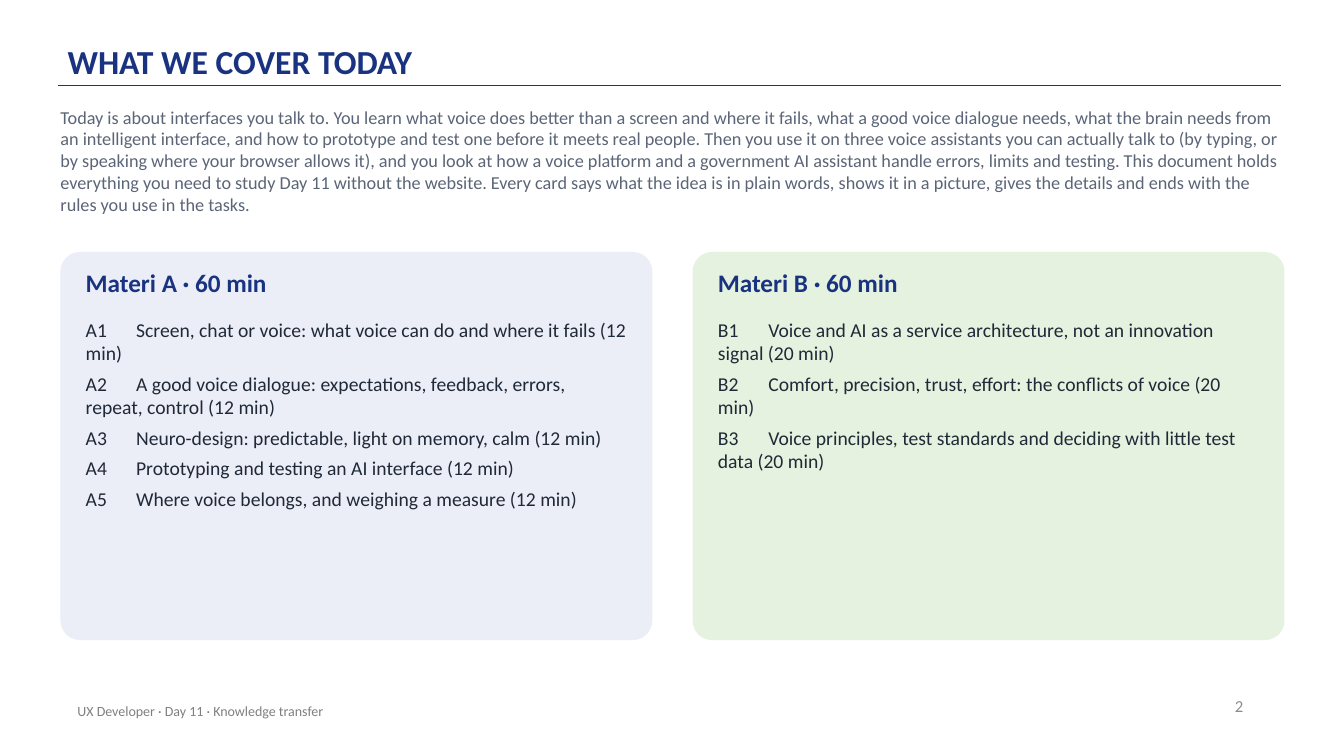
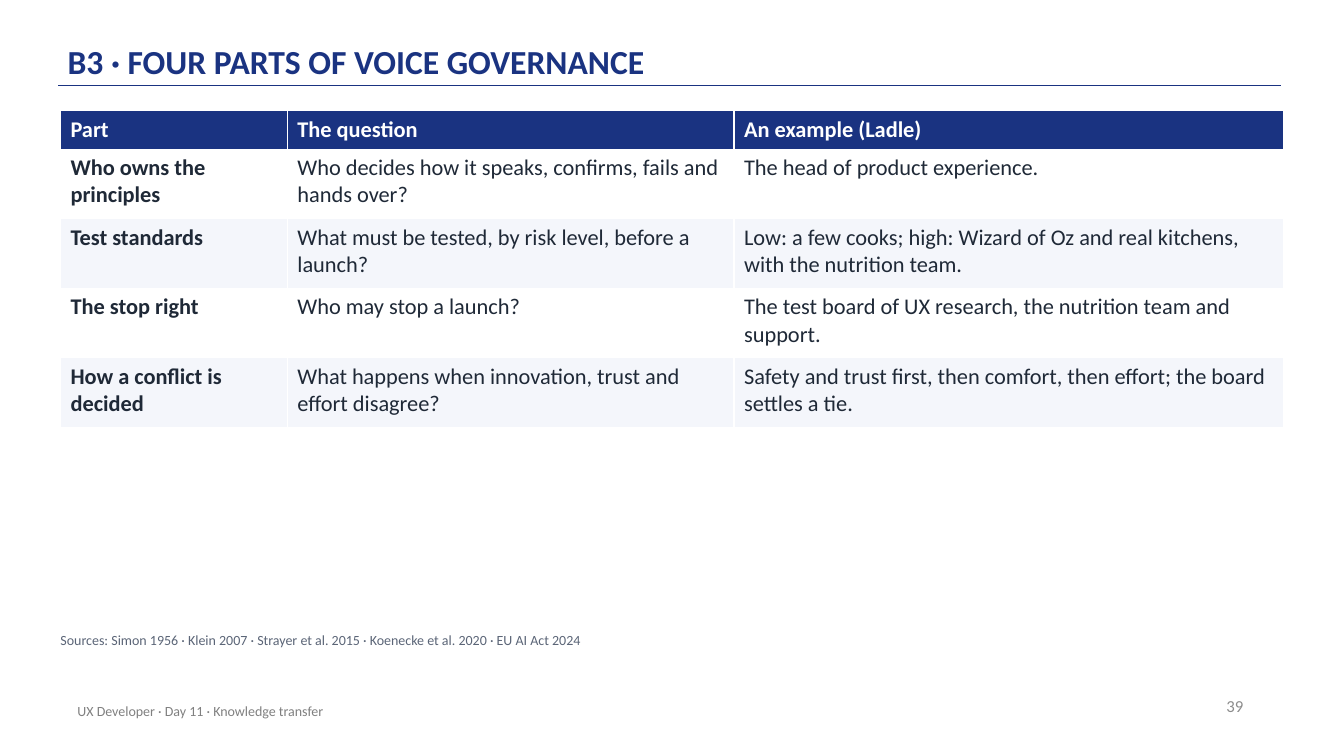
"""Builds two slides of a voice interface course: the day's agenda and a governance table."""
from lxml import etree
from pptx import Presentation
from pptx.dml.color import RGBColor
from pptx.enum.shapes import MSO_CONNECTOR, MSO_SHAPE
from pptx.enum.text import MSO_ANCHOR, MSO_AUTO_SIZE, PP_ALIGN
from pptx.oxml.ns import qn
from pptx.util import Inches, Pt

NAVY = RGBColor(0x1A, 0x33, 0x81)
INK = RGBColor(0x1F, 0x29, 0x37)
SLATE = RGBColor(0x5B, 0x65, 0x77)
FOOTER_GRAY = RGBColor(0x80, 0x80, 0x80)
NUMBER_GRAY = RGBColor(0x8C, 0x8C, 0x8C)
WHITE = RGBColor(0xFF, 0xFF, 0xFF)
ROW_TINT = RGBColor(0xF4, 0xF6, 0xFB)
LAVENDER = RGBColor(0xEC, 0xEE, 0xF7)
MINT = RGBColor(0xE5, 0xF2, 0xDF)

LEFT, RIGHT = PP_ALIGN.LEFT, PP_ALIGN.RIGHT
TOP, MIDDLE, BOTTOM = MSO_ANCHOR.TOP, MSO_ANCHOR.MIDDLE, MSO_ANCHOR.BOTTOM
ROUNDED, STRAIGHT = MSO_SHAPE.ROUNDED_RECTANGLE, MSO_CONNECTOR.STRAIGHT
NO_AUTOFIT = MSO_AUTO_SIZE.NONE

FONT = "Calibri"
WIDTH, HEIGHT = 13.33, 7.5
MARGIN, TEXT_WIDTH = 0.6, 12.1
CARD_TOP, CARD_WIDTH, CARD_HEIGHT = 2.5, 5.87, 3.85
CARD_GAP, CARD_PADDING = 0.4, 0.25
CODE_TAB = 0.3
TITLE_ONLY, TWO_CONTENT = 5, 3

FOOTER = "UX Developer · Day 11 · Knowledge transfer"
INTRO = (
    "Today is about interfaces you talk to. You learn what voice does better than a screen "
    "and where it fails, what a good voice dialogue needs, what the brain needs from an "
    "intelligent interface, and how to prototype and test one before it meets real people. "
    "Then you use it on three voice assistants you can actually talk to (by typing, or by "
    "speaking where your browser allows it), and you look at how a voice platform and a "
    "government AI assistant handle errors, limits and testing. This document holds "
    "everything you need to study Day 11 without the website. Every card says what the idea "
    "is in plain words, shows it in a picture, gives the details and ends with the rules you "
    "use in the tasks."
)
CARDS = [
    ("Materi A · 60 min", LAVENDER, "A", [
        "Screen, chat or voice: what voice can do and where it fails (12 min)",
        "A good voice dialogue: expectations, feedback, errors, repeat, control (12 min)",
        "Neuro-design: predictable, light on memory, calm (12 min)",
        "Prototyping and testing an AI interface (12 min)",
        "Where voice belongs, and weighing a measure (12 min)",
    ]),
    ("Materi B · 60 min", MINT, "B", [
        "Voice and AI as a service architecture, not an innovation signal (20 min)",
        "Comfort, precision, trust, effort: the conflicts of voice (20 min)",
        "Voice principles, test standards and deciding with little test data (20 min)",
    ]),
]
GOVERNANCE = [
    ("Part", "The question", "An example (Ladle)"),
    ("Who owns the principles",
     "Who decides how it speaks, confirms, fails and hands over?",
     "The head of product experience."),
    ("Test standards",
     "What must be tested, by risk level, before a launch?",
     "Low: a few cooks; high: Wizard of Oz and real kitchens, with the nutrition team."),
    ("The stop right",
     "Who may stop a launch?",
     "The test board of UX research, the nutrition team and support."),
    ("How a conflict is decided",
     "What happens when innovation, trust and effort disagree?",
     "Safety and trust first, then comfort, then effort; the board settles a tie."),
]
COLUMN_WIDTHS = (2.25, 4.43, 5.45)
HEADER_HEIGHT, ROW_HEIGHT = 0.38, 0.69
SOURCES = "Sources: Simon 1956 · Klein 2007 · Strayer et al. 2015 · Koenecke et al. 2020 · EU AI Act 2024"


def write(frame, *lines, size, color, bold=False, align=LEFT, after=0, spacing=1.0, tab=None):
    """Fill a text frame with one formatted paragraph per line."""
    for index, line in enumerate(lines):
        para = frame.paragraphs[0] if index == 0 else frame.add_paragraph()
        if tab:
            properties = para._p.get_or_add_pPr()
            properties.set("marL", "0")
            properties.set("indent", "0")
            etree.SubElement(properties, qn("a:buNone"))
            stops = etree.SubElement(properties, qn("a:tabLst"))
            etree.SubElement(stops, qn("a:tab"), pos=str(Inches(tab)), algn="l")
        para.alignment = align
        para.line_spacing = spacing
        para.space_before, para.space_after = Pt(0), Pt(after)
        span = para.add_run()
        span.text = line
        span.font.name, span.font.size = FONT, Pt(size)
        span.font.bold, span.font.color.rgb = bold, color


def place(shape, left, top, width, height, anchor=TOP, inset=(0, 0)):
    """Move a text shape and set its wrapping, anchor and insets; return its frame."""
    shape.left, shape.top = Inches(left), Inches(top)
    shape.width, shape.height = Inches(width), Inches(height)
    frame = shape.text_frame
    frame.word_wrap, frame.auto_size, frame.vertical_anchor = True, NO_AUTOFIT, anchor
    frame.margin_left = frame.margin_right = Inches(inset[0])
    frame.margin_top = frame.margin_bottom = Inches(inset[1])
    return frame


def add_text(page, text, area, anchor=TOP, inset=(0, 0), **style):
    """Add a text box over the given area."""
    box = page.shapes.add_textbox(0, 0, 0, 0)
    write(place(box, *area, anchor=anchor, inset=inset), text, **style)


def add_page(deck, layout, title, number):
    """Add a slide with the shared title, rule, footer and page number."""
    page = deck.slides.add_slide(deck.slide_layouts[layout])
    frame = place(page.shapes.title, 0.67, 0.12, 11, 0.72, anchor=BOTTOM, inset=(0, 0.03))
    frame.margin_left = Inches(0)
    write(frame, title, size=24, color=NAVY, bold=True, spacing=0.9)
    rule = page.shapes.add_connector(STRAIGHT, Inches(0.58), Inches(0.85), Inches(12.71), Inches(0.85))
    rule.line.color.rgb, rule.line.width = NAVY, Pt(1)
    etree.SubElement(rule.element.spPr, qn("a:effectLst"))
    add_text(page, str(number), (9.43, 6.8, 3, 0.4), MIDDLE, (0.1, 0.05),
             size=12, color=NUMBER_GRAY, align=RIGHT)
    add_text(page, FOOTER, (0.67, 6.85, 6.7, 0.4), MIDDLE, (0.1, 0.05), size=10, color=FOOTER_GRAY)
    return page


def build_agenda(deck):
    """Build the intro text with one card per half of the day."""
    page = add_page(deck, TWO_CONTENT, "WHAT WE COVER TODAY", 2)
    add_text(page, INTRO, (MARGIN, 1.05, TEXT_WIDTH, 1.2), size=13, color=SLATE, after=6)
    for index, (heading, tint, letter, topics) in enumerate(CARDS):
        left = MARGIN + index * (CARD_WIDTH + CARD_GAP)
        card = page.shapes.add_shape(ROUNDED, Inches(left), Inches(CARD_TOP),
                                     Inches(CARD_WIDTH), Inches(CARD_HEIGHT))
        card.adjustments[0] = 0.05
        card.shadow.inherit = False
        card.fill.solid()
        card.fill.fore_color.rgb = tint
        card.line.fill.background()
        page.shapes.title.element.addprevious(card.element)

        inner_left, inner_width = left + CARD_PADDING, CARD_WIDTH - 2 * CARD_PADDING
        add_text(page, heading, (inner_left, CARD_TOP + 0.15, inner_width, 0.4),
                 size=18, color=NAVY, bold=True, after=6)
        body = place(page.placeholders[index + 1], inner_left, CARD_TOP + 0.65, inner_width, 3.1)
        entries = [f"{letter}{order}\t{topic}" for order, topic in enumerate(topics, 1)]
        write(body, *entries, size=14, color=INK, after=5, tab=CODE_TAB)


def build_governance(deck):
    """Build the governance table with its sources."""
    page = add_page(deck, TITLE_ONLY, "B3 · FOUR PARTS OF VOICE GOVERNANCE", 39)
    heights = [HEADER_HEIGHT] + [ROW_HEIGHT] * (len(GOVERNANCE) - 1)
    table = page.shapes.add_table(len(GOVERNANCE), len(COLUMN_WIDTHS), Inches(MARGIN), Inches(1.1),
                                  Inches(sum(COLUMN_WIDTHS)), Inches(sum(heights))).table
    for column, width in zip(table.columns, COLUMN_WIDTHS):
        column.width = Inches(width)
    for row_index, (texts, height) in enumerate(zip(GOVERNANCE, heights)):
        table.rows[row_index].height = Inches(height)
        header = row_index == 0
        tint = NAVY if header else (ROW_TINT, WHITE)[row_index % 2]
        for column_index, text in enumerate(texts):
            cell = table.cell(row_index, column_index)
            cell.fill.solid()
            cell.fill.fore_color.rgb = tint
            write(cell.text_frame, text, size=16, color=WHITE if header else INK,
                  bold=header or column_index == 0)
    add_text(page, SOURCES, (MARGIN, 6.27, TEXT_WIDTH, 0.3), size=10, color=SLATE, after=6)


def main():
    """Build and save the deck."""
    deck = Presentation()
    deck.slide_width, deck.slide_height = Inches(WIDTH), Inches(HEIGHT)
    build_agenda(deck)
    build_governance(deck)
    deck.save("out.pptx")


if __name__ == "__main__":
    main()
